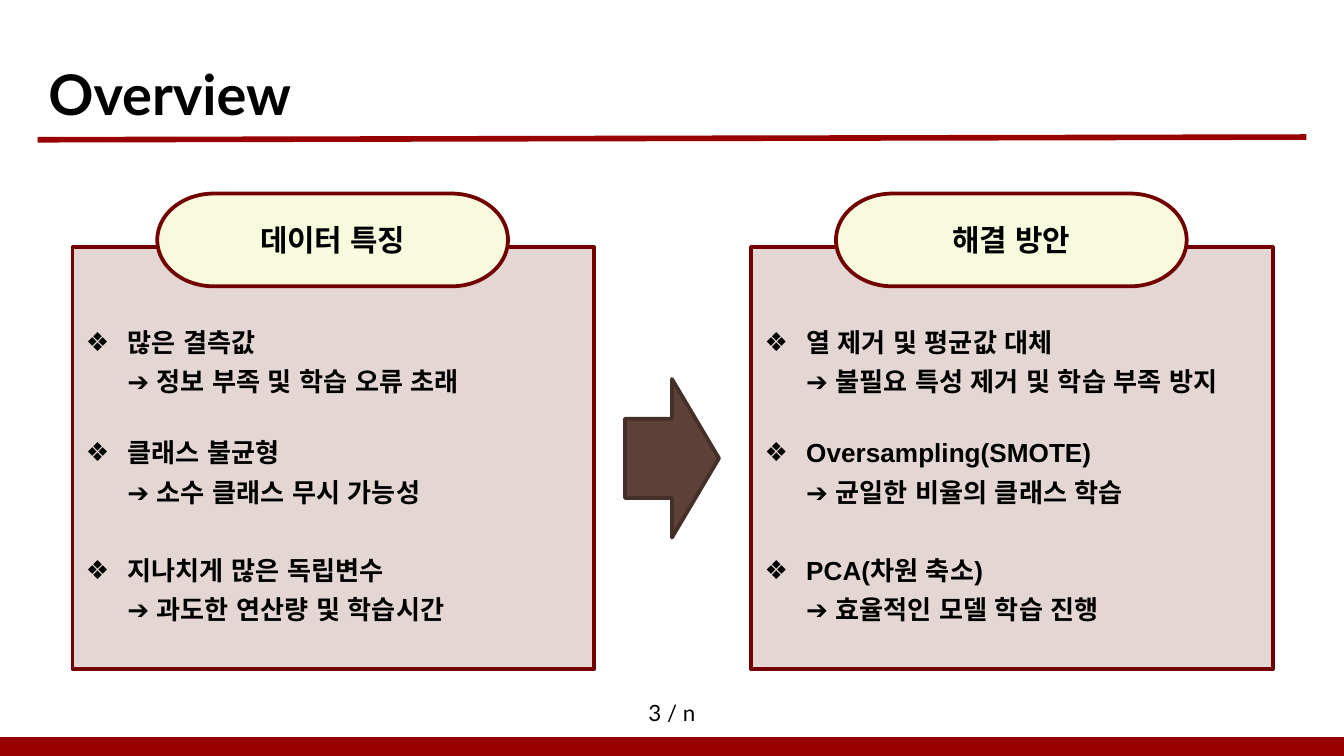
from lxml import etree
from pptx import Presentation
from pptx.dml.color import RGBColor
from pptx.enum.shapes import MSO_CONNECTOR, MSO_SHAPE
from pptx.enum.text import MSO_ANCHOR, PP_ALIGN
from pptx.oxml.ns import qn
from pptx.util import Inches, Pt

RECTANGLE = MSO_SHAPE.RECTANGLE
TERMINATOR = MSO_SHAPE.FLOWCHART_TERMINATOR
RIGHT_ARROW = MSO_SHAPE.RIGHT_ARROW
STRAIGHT = MSO_CONNECTOR.STRAIGHT
LEFT, CENTER = PP_ALIGN.LEFT, PP_ALIGN.CENTER
MIDDLE, BOTTOM = MSO_ANCHOR.MIDDLE, MSO_ANCHOR.BOTTOM
TITLE_ONLY = 5
WIDTH = 10
HEIGHT = WIDTH * 9 / 16
FOOTER = 0.14

PANELS = [
    (0.54, "데이터 특징", [
        "많은 결측값\n➔ 정보 부족 및 학습 오류 초래",
        "클래스 불균형\n➔ 소수 클래스 무시 가능성",
        "지나치게 많은 독립변수\n➔ 과도한 연산량 및 학습시간",
    ]),
    (5.59, "해결 방안", [
        "열 제거 및 평균값 대체\n➔ 불필요 특성 제거 및 학습 부족 방지",
        "Oversampling(SMOTE)\n➔ 균일한 비율의 클래스 학습",
        "PCA(차원 축소)\n➔ 효율적인 모델 학습 진행",
    ]),
]


def color(value):
    return RGBColor.from_string(value)


class SlideBuilder:
    black, red, dark_red = "000000", "990000", "730000"
    panel_fill, heading_fill = "E4D6D2", "F8FADD"
    title_font, body_font = "Lato", "Arial"

    def __init__(self, slide):
        self.slide = slide

    def format_runs(self, paragraph, font, size, bold, align):
        paragraph.alignment = align
        for run in paragraph.runs:
            run.font.name = font
            run.font.size = Pt(size)
            run.font.bold = bold
            run.font.color.rgb = color(self.black)
            # The same font for East Asian text
            etree.SubElement(run._r.get_or_add_rPr(), qn("a:ea"), typeface=font)

    def set_text(self, shape, text, font, size, bold=True, align=CENTER, anchor=MIDDLE, inset=0.1):
        frame = shape.text_frame
        frame.text = text
        frame.word_wrap = True
        frame.vertical_anchor = anchor
        frame.margin_left = frame.margin_right = Inches(inset)
        frame.margin_top = frame.margin_bottom = Inches(inset)
        self.format_runs(frame.paragraphs[0], font, size, bold, align)

    def title(self, text, left, top, width, height):
        shape = self.slide.shapes.title
        shape.left, shape.top = Inches(left), Inches(top)
        shape.width, shape.height = Inches(width), Inches(height)
        self.set_text(shape, text, self.title_font, 30, align=LEFT, anchor=BOTTOM)

    def label(self, text, left, top, width, height):
        box = self.slide.shapes.add_textbox(Inches(left), Inches(top), Inches(width), Inches(height))
        self.set_text(box, text, self.title_font, 12, bold=False)

    def shape(self, kind, left, top, width, height, fill, line=None):
        shape = self.slide.shapes.add_shape(kind, Inches(left), Inches(top), Inches(width), Inches(height))
        shape.shadow.inherit = False
        shape.fill.solid()
        shape.fill.fore_color.rgb = color(fill)
        if line:
            shape.line.color.rgb = color(line)
            shape.line.width = Pt(2)
        else:
            shape.line.fill.background()
        return shape

    def rule(self, x1, y1, x2, y2):
        line = self.slide.shapes.add_connector(STRAIGHT, Inches(x1), Inches(y1), Inches(x2), Inches(y2))
        line.line.color.rgb = color(self.red)
        line.line.width = Pt(3)
        etree.SubElement(line._element.spPr, qn("a:effectLst"))

    def bullet(self, paragraph):
        properties = paragraph._p.get_or_add_pPr()
        properties.set("marL", str(Inches(0.31)))
        properties.set("indent", str(-Inches(0.31)))
        bullet_color = etree.SubElement(properties, qn("a:buClr"))
        etree.SubElement(bullet_color, qn("a:srgbClr"), val=self.black)
        etree.SubElement(properties, qn("a:buFont"), typeface=self.body_font)
        etree.SubElement(properties, qn("a:buChar"), char="❖")

    def panel(self, left, heading, items):
        body = self.shape(RECTANGLE, left, 1.84, 3.88, 3.14, self.panel_fill, self.dark_red)
        frame = body.text_frame
        frame.word_wrap = True
        frame.vertical_anchor = MIDDLE
        frame.margin_top = Inches(0.25)  # room for the heading
        for index, (item, gap) in enumerate(zip(items, (0, 17, 21))):
            paragraph = frame.add_paragraph() if index else frame.paragraphs[0]
            paragraph.text = item
            paragraph.line_spacing = 1.25
            paragraph.space_before = Pt(gap)
            self.format_runs(paragraph, self.body_font, 14, True, LEFT)
            self.bullet(paragraph)

        pill = self.shape(TERMINATOR, left + 0.63, 1.44, 2.61, 0.69, self.heading_fill, self.dark_red)
        self.set_text(pill, heading, self.body_font, 16, inset=0.05)


def main():
    presentation = Presentation()
    presentation.slide_width = Inches(WIDTH)
    presentation.slide_height = Inches(HEIGHT)
    builder = SlideBuilder(presentation.slides.add_slide(presentation.slide_layouts[TITLE_ONLY]))

    # Frame: footer bar, title with rule, page number
    builder.shape(RECTANGLE, 0, HEIGHT - FOOTER, WIDTH, FOOTER, builder.red)
    builder.rule(0.28, 1.04, 9.72, 1.02)
    builder.title("Overview", 0.26, 0.35, 9.08, 0.69)
    builder.label("3 / n", 4.7, 5.09, 0.6, 0.43)

    # Problems and solutions, joined by an arrow
    for left, heading, items in PANELS:
        builder.panel(left, heading, items)
    builder.shape(RIGHT_ARROW, 4.65, 2.82, 0.7, 1.18, "5D4037", "452F29")

    presentation.save("out.pptx")


if __name__ == "__main__":
    main()
